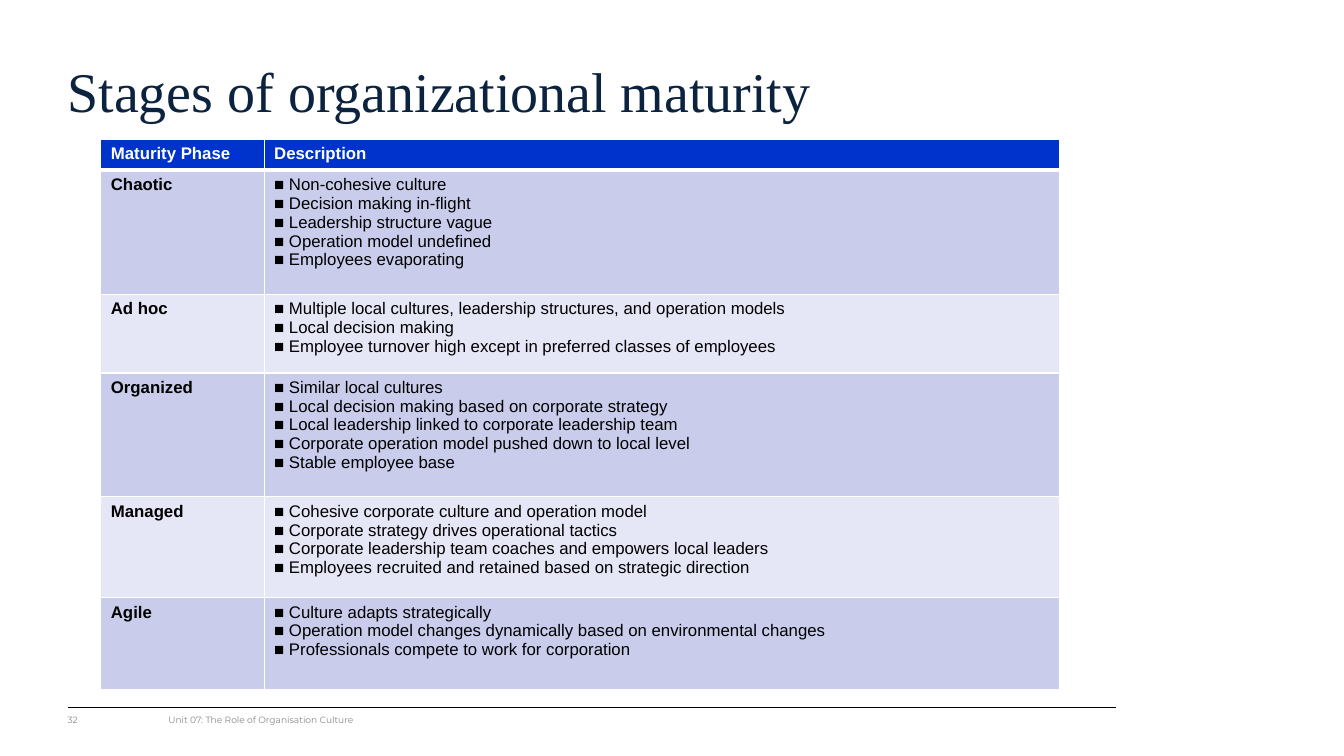
from lxml import etree
from pptx import Presentation
from pptx.dml.color import RGBColor
from pptx.enum.shapes import MSO_CONNECTOR
from pptx.enum.text import MSO_ANCHOR
from pptx.oxml import parse_xml
from pptx.oxml.ns import nsdecls, qn
from pptx.util import Inches, Pt

NAVY = RGBColor(0x0C, 0x23, 0x40)
BLUE = RGBColor(0x00, 0x33, 0xCC)
LAVENDER = RGBColor(0xCA, 0xCC, 0xEC)
PALE = RGBColor(0xE6, 0xE7, 0xF6)
GREY = RGBColor(0x88, 0x88, 0x88)
WHITE = RGBColor(0xFF, 0xFF, 0xFF)
BLACK = RGBColor(0, 0, 0)

LEFT, RIGHT = 0.67, 11.07
RULE_Y, FOOTER_Y, FOOTER_H = 7.02, 7.06, 0.21
COLS = [1.62, 7.89]
ROWS = [0.31, 1.23, 0.78, 1.23, 1, 0.91]
PHASES = {
    "Chaotic": [
        "Non-cohesive culture",
        "Decision making in-ﬂight",
        "Leadership structure vague",
        "Operation model undeﬁned",
        "Employees evaporating",
    ],
    "Ad hoc": [
        "Multiple local cultures, leadership structures, and operation models",
        "Local decision making",
        "Employee turnover high except in preferred classes of employees",
    ],
    "Organized": [
        "Similar local cultures",
        "Local decision making based on corporate strategy",
        "Local leadership linked to corporate leadership team",
        "Corporate operation model pushed down to local level",
        "Stable employee base",
    ],
    "Managed": [
        "Cohesive corporate culture and operation model",
        "Corporate strategy drives operational tactics",
        "Corporate leadership team coaches and empowers local leaders",
        "Employees recruited and retained based on strategic direction",
    ],
    "Agile": [
        "Culture adapts strategically",
        "Operation model changes dynamically based on environmental changes",
        "Professionals compete to work for corporation",
    ],
}


def write(tf, lines, color, **font):
    """Fill a text frame with one formatted paragraph per line."""
    for i, line in enumerate(lines):
        p = tf.add_paragraph() if i else tf.paragraphs[0]
        r = p.add_run()
        r.text = line
        r.font.color.rgb = color
        for name, value in font.items():
            setattr(r.font, name, value)


def set_borders(cell, **widths):
    """Draw white borders; widths are in points, keyed L, R, T, B."""
    for i, (side, width) in enumerate(widths.items()):
        cell._tc.get_or_add_tcPr().insert(i, parse_xml(
            f'<a:ln{side} {nsdecls("a")} w="{Pt(width)}"><a:solidFill>'
            f'<a:srgbClr val="{WHITE}"/></a:solidFill></a:ln{side}>'))


prs = Presentation()
prs.slide_width, prs.slide_height = Inches(13.33), Inches(7.5)
s = prs.slides.add_slide(prs.slide_layouts[6])

rule = s.shapes.add_connector(MSO_CONNECTOR.STRAIGHT, Inches(LEFT), Inches(RULE_Y),
                              Inches(RIGHT), Inches(RULE_Y))
rule.line.color.rgb = BLACK
rule.line.width = Pt(0.75)
etree.SubElement(rule._element.spPr, qn("a:effectLst"))

title_font = {"size": Pt(40), "name": "Times New Roman"}
footer_font = {"size": Pt(6.5), "name": "Montserrat"}
for text, box, color, font in [
    ("Stages of organizational maturity", (LEFT, 0.45, RIGHT - LEFT, 0.93), NAVY, title_font),
    ("Unit 07: The Role of Organisation Culture", (LEFT + 1, FOOTER_Y, 4.22, FOOTER_H), GREY, footer_font),
    ("32", (LEFT, FOOTER_Y, 0.53, FOOTER_H), GREY, footer_font),
]:
    tf = s.shapes.add_textbox(*map(Inches, box)).text_frame
    frame = {"word_wrap": True, "vertical_anchor": MSO_ANCHOR.MIDDLE, "margin_left": 0,
             "margin_top": 0, "margin_right": Inches(0.1), "margin_bottom": Inches(0.05)}
    for name, value in frame.items():
        setattr(tf, name, value)
    write(tf, [text], color, **font)

table = s.shapes.add_table(len(ROWS), len(COLS), Inches(1), Inches(1.38),
                           Inches(sum(COLS)), Inches(sum(ROWS))).table
for column, width in zip(table.columns, COLS):
    column.width = Inches(width)
for row, height in zip(table.rows, ROWS):
    row.height = Inches(height)

content = [(["Maturity Phase"], ["Description"])]
content += [([phase], [f"■ {trait}" for trait in traits]) for phase, traits in PHASES.items()]
for i, texts in enumerate(content):
    header = i == 0
    for j, lines in enumerate(texts):
        cell = table.cell(i, j)
        cell.fill.solid()
        cell.fill.fore_color.rgb = BLUE if header else LAVENDER if i % 2 else PALE
        set_borders(cell, L=1, R=1, T=3 if i == 1 else 1, B=3 if header else 1)
        write(cell.text_frame, lines, WHITE if header else BLACK,
              size=Pt(12), name="Arial", bold=header or j == 0)

prs.save("out.pptx")
